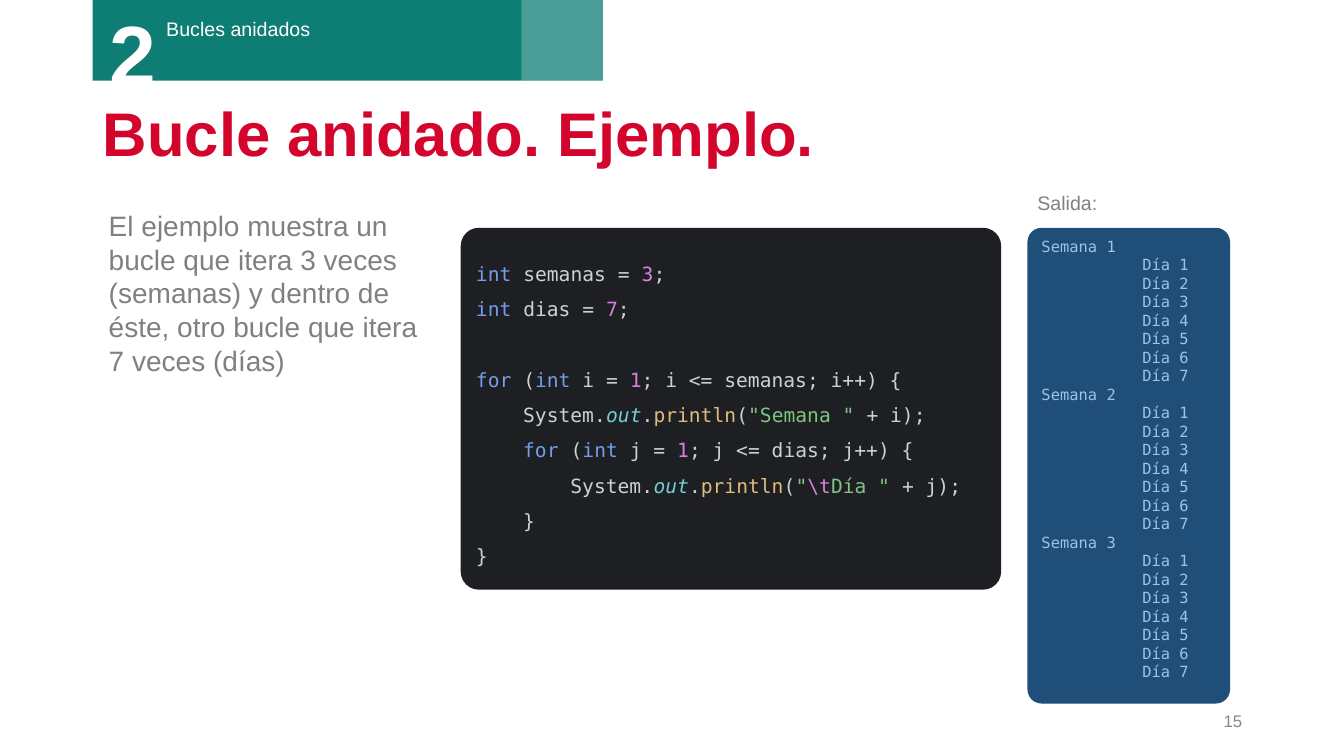
from lxml import etree
from pptx import Presentation
from pptx.dml.color import RGBColor
from pptx.enum.shapes import MSO_SHAPE as Shape
from pptx.enum.text import MSO_ANCHOR as Anchor, PP_ALIGN as Align
from pptx.oxml.ns import qn
from pptx.util import Inches, Pt

HUES = {
    "white": "FFFFFF", "teal": "0E7D73", "red": "D3052C",
    "gray": "808080", "number": "888888",
    "dark": "1E1F22", "navy": "1F4E79", "sky": "9DC3E6",
    "key": "749DED", "plain": "CED0D6", "digit": "D981DE",
    "field": "72CFD6", "call": "DEBC7E", "string": "7EC482",
}
SANS, MONO = "Arial", "DejaVu Sans Mono"

CODE = [
    [("key", "int "), ("plain", "semanas = "), ("digit", "3"), ("plain", ";")],
    [("key", "int "), ("plain", "dias = "), ("digit", "7"), ("plain", ";")],
    [],
    [("key", "for "), ("plain", "("), ("key", "int "), ("plain", "i = "),
     ("digit", "1"), ("plain", "; i <= semanas; i++) {")],
    [("plain", "    System."), ("field", "out"), ("plain", "."),
     ("call", "println"), ("plain", "("), ("string", '"Semana " '),
     ("plain", "+ i);")],
    [("key", "    for "), ("plain", "("), ("key", "int "), ("plain", "j = "),
     ("digit", "1"), ("plain", "; j <= dias; j++) {")],
    [("plain", "        System."), ("field", "out"), ("plain", "."),
     ("call", "println"), ("plain", "("), ("string", '"'),
     ("digit", "\\t"), ("string", 'Día " '), ("plain", "+ j);")],
    [("plain", "    }")],
    [("plain", "}")],
]


def add_box(shapes, kind, x, y, w, h, fill):
    box = shapes.add_shape(kind, Inches(x), Inches(y), Inches(w), Inches(h))
    box.shadow.inherit = False
    box.fill.solid()
    box.fill.fore_color.rgb = RGBColor.from_string(HUES[fill])
    box.line.fill.background()
    return box


def add_text(shapes, x, y, w, h, text, size, hue, bold=False,
             anchor=Anchor.TOP):
    """Add a one-paragraph text box and return the paragraph."""
    box = shapes.add_textbox(Inches(x), Inches(y), Inches(w), Inches(h))
    frame = box.text_frame
    frame.word_wrap = True
    frame.vertical_anchor = anchor
    para = frame.paragraphs[0]
    para.text = text
    font = para.font
    font.name, font.size, font.bold = SANS, Pt(size), bold
    font.color.rgb = RGBColor.from_string(HUES[hue])
    return para


deck = Presentation()
deck.slide_width, deck.slide_height = Inches(13.33), Inches(7.5)
slide = deck.slides.add_slide(deck.slide_layouts[6])
shapes = slide.shapes

# Section banner
banner = shapes.add_group_shape().shapes
add_box(banner, Shape.RECTANGLE, 0.92, 0, 5.06, 0.8, "teal")
add_text(banner, 1.55, 0.12, 2.75, 0.34, "Bucles anidados", 14, "white")
add_text(banner, 0.99, -0.03, 1.12, 1.11, "2", 60, "white", bold=True)
veil = add_box(banner, Shape.RECTANGLE, 5.17, 0, 0.81, 0.8, "white")
tint = veil.fill._xPr.find(qn("a:solidFill"))[0]
etree.SubElement(tint, qn("a:alpha")).set("val", "25000")

# Title, page number and explanation
title = add_text(shapes, 0.92, 0.93, 11.5, 0.86, "Bucle anidado. Ejemplo.",
                 44, "red", bold=True, anchor=Anchor.MIDDLE)
title.line_spacing = 0.9
page = add_text(shapes, 9.42, 6.95, 3, 0.4, "15", 12, "number",
                anchor=Anchor.MIDDLE)
page.alignment = Align.RIGHT
body = add_text(
    shapes, 0.92, 2.02, 3.38, 4.78,
    "El ejemplo muestra un bucle que itera 3 veces (semanas) y dentro de "
    "éste, otro bucle que itera 7 veces (días)", 20, "gray")
body._p.get_or_add_pPr().set("marL", str(Inches(0.06)))

# Code panel
panel = add_box(shapes, Shape.ROUNDED_RECTANGLE, 4.57, 2.26, 5.36, 3.59, "dark")
panel.adjustments[0] = 0.05
frame = panel.text_frame
frame.word_wrap = True
frame.vertical_anchor = Anchor.MIDDLE
para = frame.paragraphs[0]
para.alignment = Align.LEFT
para.line_spacing = 1.5
para.font.name, para.font.size = MONO, Pt(14)
for row, line in enumerate(CODE):
    if row:
        para.add_line_break()
    for kind, text in line:
        run = para.add_run()
        run.text = text
        run.font.color.rgb = RGBColor.from_string(HUES[kind])
        if kind == "field":
            run.font.italic = True

# Output panel
output = add_box(shapes, Shape.ROUNDED_RECTANGLE, 10.19, 2.26, 2.01, 4.72, "navy")
output.adjustments[0] = 0.07
frame = output.text_frame
frame.word_wrap = True
frame.vertical_anchor = Anchor.TOP
lines = []
for week in range(1, 4):
    lines.append(f"Semana {week}")
    lines += [f"\tDía {day}" for day in range(1, 8)]
frame.text = "\n".join(lines)
for para in frame.paragraphs:
    para.alignment = Align.LEFT
    tabs = etree.SubElement(para._p.get_or_add_pPr(), qn("a:tabLst"))
    stop = etree.SubElement(tabs, qn("a:tab"))
    stop.set("pos", str(Inches(1)))
    stop.set("algn", "l")
    para.font.name, para.font.size = MONO, Pt(11)
    para.font.color.rgb = RGBColor.from_string(HUES["sky"])
add_text(shapes, 10.19, 1.84, 0.8, 0.34, "Salida:", 14, "gray")

deck.save("out.pptx")
